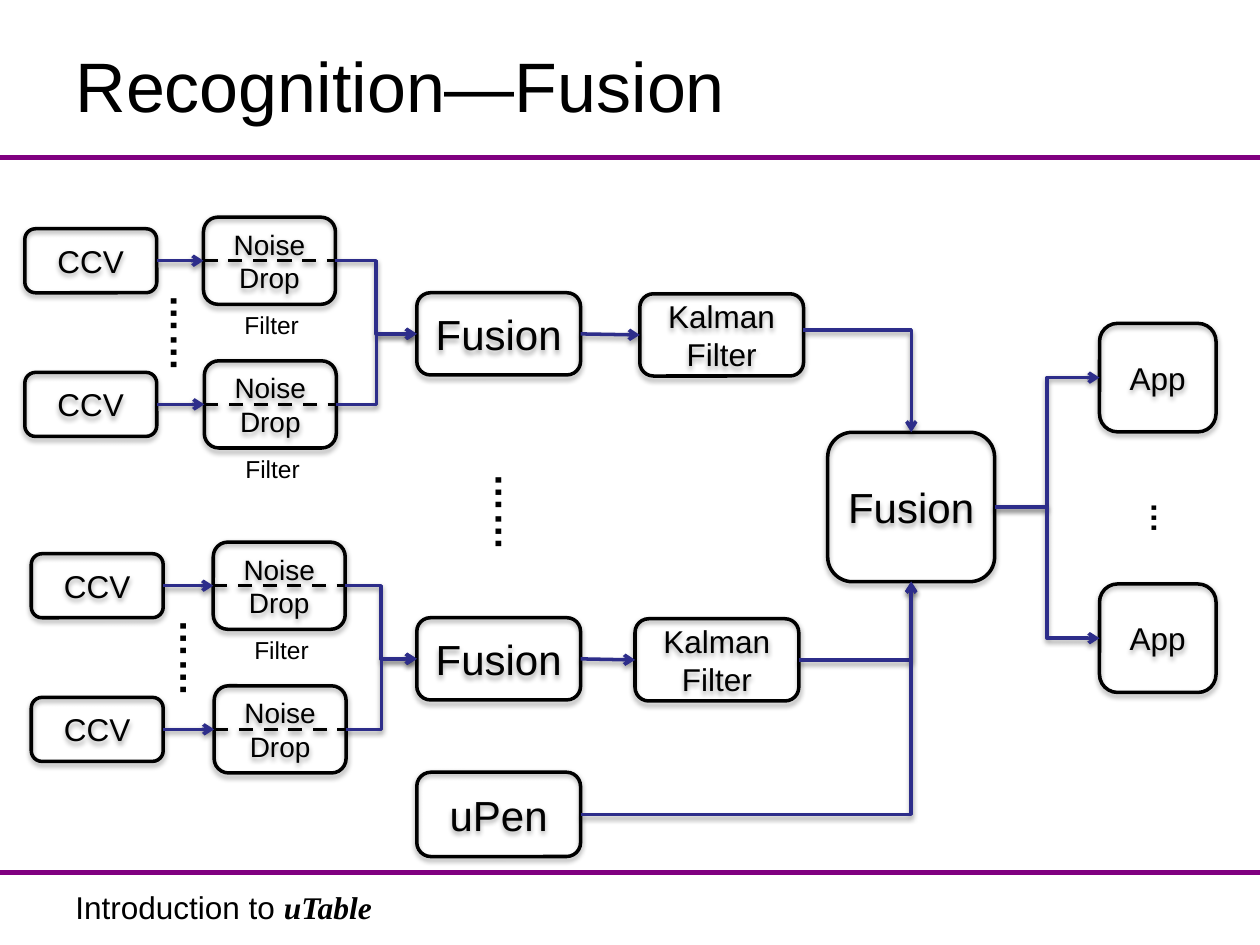
from lxml.etree import SubElement as Sub
from pptx import Presentation
from pptx.dml.color import RGBColor
from pptx.enum.dml import MSO_LINE as Dash
from pptx.enum.shapes import MSO_CONNECTOR as Conn, MSO_SHAPE as Kind
from pptx.enum.text import MSO_ANCHOR as Anchor, PP_ALIGN as Align
from pptx.oxml.ns import qn
from pptx.util import Pt

BLACK, BLUE, PURPLE = "000000", "2D2D8A", "800080"
hue = RGBColor.from_string

deck = Presentation()
deck.slide_width, deck.slide_height = Pt(720), Pt(540)
slide = deck.slides.add_slide(deck.slide_layouts[5])
shapes = slide.shapes
cast = []  # parts that throw a shadow, each with its opacity


def block(text, x, y, w, h, size, frame=True, vert=None):
    """Centred text, in a rounded box or in a plain text box."""
    area = [Pt(v) for v in (x, y, w, h)]
    if frame:
        part = shapes.add_shape(Kind.ROUNDED_RECTANGLE, *area)
        part.fill.background()
        part.line.color.rgb = hue(BLACK)
        part.line.width = Pt(2)
        cast.append((part, 35))
    else:
        part = shapes.add_textbox(*area)
    body = part.text_frame
    body.word_wrap = frame
    body.vertical_anchor = Anchor.MIDDLE if frame else Anchor.TOP
    if vert:
        body._txBody.bodyPr.set("vert", vert)
    for i, words in enumerate(text.split("\n")):
        para = body.add_paragraph() if i else body.paragraphs[0]
        para.alignment = Align.CENTER
        run = para.add_run()
        run.text = words
        run.font.name, run.font.size = "Arial", Pt(size)
        run.font.bold = bool(vert)
        run.font.color.rgb = hue(BLACK)
    return part


def wire(x1, y1, x2, y2, bend=None, color=BLUE, width=2, joins=None):
    """A line from point to point; blue ones carry an arrowhead."""
    kind = Conn.ELBOW if bend else Conn.STRAIGHT
    part = shapes.add_connector(kind, Pt(x1), Pt(y1), Pt(x2), Pt(y2))
    if bend:
        part._element.spPr.find(qn("a:prstGeom")).set("prst", bend)
    if joins:
        part.begin_connect(joins[0], joins[1])
        part.end_connect(joins[2], joins[3])
    part.line.color.rgb = hue(color)
    part.line.width = Pt(width)
    if color == BLACK:
        part.line.dash_style = Dash.DASH
    if color == BLUE:
        Sub(part.line._get_or_add_ln(), qn("a:tailEnd"), type="arrow")
    cast.append((part, 0 if color == PURPLE else 38))


# Rules above and below the content
for y in (90, 498.4):
    wire(0, y, 720, y, color=PURPLE, width=3)

# Title
title = shapes.title
title.left, title.top, title.width, title.height = Pt(36), Pt(6), Pt(648), Pt(84)
title.text_frame.vertical_anchor = Anchor.MIDDLE
para = title.text_frame.paragraphs[0]
para.alignment = Align.LEFT
run = para.add_run()
run.text = "Recognition—Fusion"
run.font.name, run.font.size = "Arial", Pt(40)
run.font.color.rgb = hue(BLACK)

# Footer
foot = shapes.add_textbox(Pt(36), Pt(504), Pt(264), Pt(25))
foot.text_frame.word_wrap = True
para = foot.text_frame.paragraphs[0]
for words, font, strong in (("Introduction to ", "Arial", False),
                            ("uTable", "Times New Roman", True)):
    run = para.add_run()
    run.text = words
    run.font.name, run.font.size = font, Pt(18)
    run.font.bold = run.font.italic = strong
    run.font.color.rgb = hue(BLACK)

# Central fusion
hub_x, hub_y, hub_w, hub_h = 473, 247, 95.4, 85.4
mid_x, mid_y = hub_x + hub_w / 2, hub_y + hub_h / 2
block("Fusion", hub_x, hub_y, hub_w, hub_h, 24)

# Two groups: sensors, noise filters, fusion, Kalman filter
mid_w, mid_h, fuse_x = 93.6, 47, 238.2
box_w, ccv_h, drop_h, step = 75.4, 36.6, 49.8, 82.1
groups = ((149, 14.2, 116.3, 365.6, 82.2, 2), (334.7, 17.9, 121.9, 362.9, 87.7, 1))
for top, ccv_x, drop_x, kal_x, dots_x, labels in groups:
    fuse_y = top + 18.3
    fuse_c = fuse_y + mid_h / 2
    fuse = block("Fusion", fuse_x, fuse_y, mid_w, mid_h, 24)
    kal = block("Kalman Filter", kal_x, fuse_y + 0.6, mid_w, mid_h, 18)
    wire(0, 0, 0, 0, joins=(fuse, 3, kal, 1))
    for i in range(2):
        y, x = top + i * step, drop_x + i * 0.5
        ccv = block("CCV", ccv_x, y - ccv_h / 2, box_w, ccv_h, 18)
        drop = block("Noise\nDrop", x, y - drop_h / 2, box_w, drop_h, 16)
        wire(0, 0, 0, 0, color=BLACK, joins=(drop, 1, drop, 3))
        wire(0, 0, 0, 0, joins=(ccv, 3, drop, 1))
        wire(x + box_w, y, fuse_x, fuse_c, "bentConnector3")
        if i < labels:
            block("Filter", x + 16, y + drop_h / 2, 46, 24.2, 14, frame=False)
    block("……", dots_x, top + 12.4, 41, 52, 22, frame=False, vert="eaVert")
block("……", 267.8, 263.6, 41, 52, 22, frame=False, vert="eaVert")

# Pen input
block("uPen", fuse_x, 441.3, mid_w, 48.2, 24)

# Everything that flows into the central fusion
for x, y, end in ((459, 188.7, hub_y), (456.5, 377.2, hub_y + hub_h),
                  (fuse_x + mid_w, 465.4, hub_y + hub_h)):
    wire(x, y, mid_x, end, "bentConnector2")

# Apps fed by the central fusion
app_x, app_w, app_h = 628.3, 66.6, 62
for y in (215.8, 364.7):
    block("App", app_x, y - app_h / 2, app_w, app_h, 18)
    wire(hub_x + hub_w, mid_y, app_x, y, "bentConnector3")
block("…", 643.7, 283.7, 36, 25.2, 18, frame=False, vert="vert")

# Soft shadows straight below
for part, alpha in cast:
    effects = Sub(part._element.spPr, qn("a:effectLst"))
    if alpha:
        shade = Sub(effects, qn("a:outerShdw"), blurRad=str(Pt(3.1)),
                    dist=str(Pt(1.7)), dir="5400000", rotWithShape="0")
        tint = Sub(shade, qn("a:srgbClr"), val=BLACK)
        Sub(tint, qn("a:alpha"), val=str(alpha * 1000))

deck.save("out.pptx")
